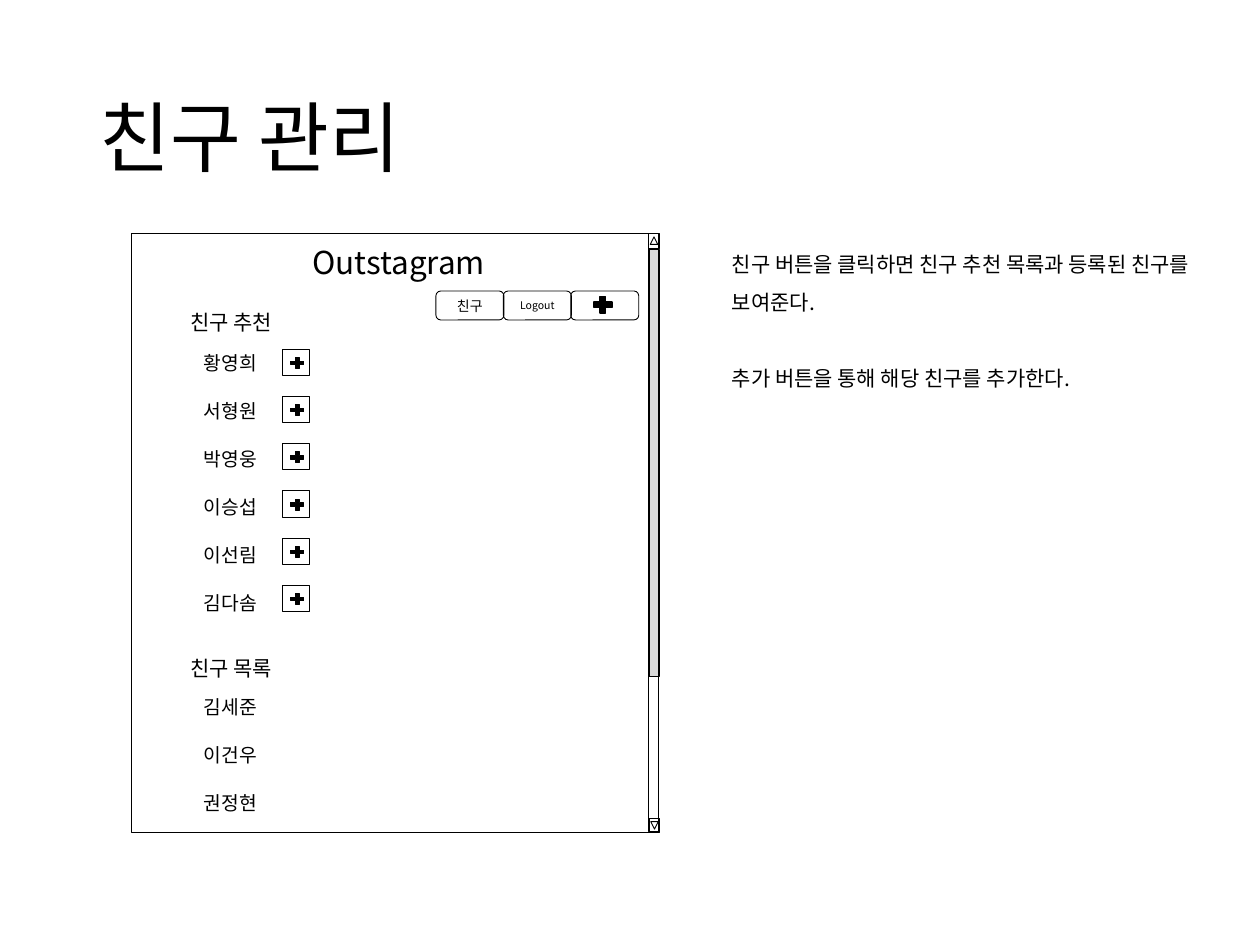
from lxml import etree
from pptx import Presentation
from pptx.dml.color import RGBColor
from pptx.enum.shapes import MSO_SHAPE
from pptx.enum.text import MSO_ANCHOR, MSO_AUTO_SIZE, PP_ALIGN
from pptx.oxml.ns import qn
from pptx.util import Inches, Pt

FONT = "Noto Sans CJK KR"
COLORS = {"ink": "000000", "thumb": "D9D9D9"}

prs = Presentation()
prs.slide_width, prs.slide_height = Inches(10), Inches(7.5)
s = prs.slides.add_slide(prs.slide_layouts[5])


def write(sp, lines, size, align=PP_ALIGN.LEFT, anchor=MSO_ANCHOR.TOP, **para):
    tf = sp.text_frame
    tf.word_wrap = True
    tf.auto_size = MSO_AUTO_SIZE.NONE
    tf.vertical_anchor = anchor
    for i, line in enumerate(lines):
        p = tf.paragraphs[0] if i == 0 else tf.add_paragraph()
        r = p.add_run()
        r.text = line
        for name, value in {"alignment": align, **para}.items():
            setattr(p, name, value)
        for name, value in {"name": FONT, "size": Pt(size)}.items():
            setattr(r.font, name, value)
        r.font.color.rgb = RGBColor.from_string(COLORS["ink"])
        etree.SubElement(r.font._element, qn("a:ea"), typeface=FONT)
    return tf


def draw(kind, x, y, w, h, line=0.5, fill=None, rotation=0):
    sp = s.shapes.add_shape(kind, Inches(x), Inches(y), Inches(w), Inches(h))
    sp.shadow.inherit = False
    sp.rotation = rotation
    if fill:
        sp.fill.solid()
        sp.fill.fore_color.rgb = RGBColor.from_string(COLORS[fill])
    else:
        sp.fill.background()
    sp.line.color.rgb = RGBColor.from_string(COLORS["ink"])
    sp.line.width = Pt(line)
    return sp


# Title
title = s.shapes.title
title.left, title.top = Inches(0.69), Inches(0.4)
title.width, title.height = Inches(8.62), Inches(1.45)
write(title, ["친구 관리"], 44, anchor=MSO_ANCHOR.MIDDLE, line_spacing=0.9)

# Page frame
draw(MSO_SHAPE.RECTANGLE, 1.04, 1.85, 4.19, 4.76, line=0.58)

# Page name, section headings and friend names
suggested = ["황영희", "서형원", "박영웅", "이승섭", "이선림", "김다솜"]
friends = ["김세준", "이건우", "권정현"]
labels = [
    ("Outstagram", 2.38, 1.88, 1.64, 0.4, 18),
    ("친구 추천", 1.41, 2.41, 1.32, 0.3, 12),
    ("친구 목록", 1.41, 5.15, 1.32, 0.3, 12),
]
for top, names in [(2.74, suggested), (5.47, friends)]:
    labels += [(name, 1.52, top + 0.38 * i, 0.73, 0.29, 11) for i, name in enumerate(names)]
for text, x, y, w, h, size in labels:
    write(s.shapes.add_textbox(Inches(x), Inches(y), Inches(w), Inches(h)), [text], size)

# Add button beside each suggested friend
for i in range(len(suggested)):
    y = 2.77 + 0.375 * i
    draw(MSO_SHAPE.MATH_PLUS, 2.29, y + 0.05, 0.14, 0.12, fill="ink")
    draw(MSO_SHAPE.RECTANGLE, 2.24, y, 0.22, 0.21)

# Menu buttons
draw(MSO_SHAPE.MATH_PLUS, 4.69, 2.33, 0.19, 0.18, line=1, fill="ink")
for i, (text, size) in enumerate([("친구", 8), ("Logout", 6), (None, 0)]):
    button = draw(MSO_SHAPE.ROUNDED_RECTANGLE, 3.46 + 0.535 * i, 2.31, 0.54, 0.23)
    if text:
        write(button, [text], size, PP_ALIGN.CENTER, MSO_ANCHOR.MIDDLE)

# Scroll bar
draw(MSO_SHAPE.RECTANGLE, 5.15, 1.85, 0.08, 4.75)
draw(MSO_SHAPE.ACTION_BUTTON_BACK_OR_PREVIOUS, 5.13, 1.87, 0.12, 0.08, rotation=90)
draw(MSO_SHAPE.ACTION_BUTTON_BACK_OR_PREVIOUS, 5.14, 6.51, 0.11, 0.08, rotation=270)
draw(MSO_SHAPE.RECTANGLE, 5.15, 1.98, 0.08, 3.39, line=0.75, fill="thumb")

# Description
notes = [
    "친구 버튼을 클릭하면 친구 추천 목록과 등록된 친구를 보여준다.",
    "추가 버튼을 통해 해당 친구를 추가한다.",
]
box = s.shapes.add_textbox(Inches(5.71), Inches(1.85), Inches(3.96), Inches(1.62))
tf = write(box, notes, 12, line_spacing=1.5)
tf.paragraphs[1].space_before = Pt(22)

prs.save("out.pptx")
